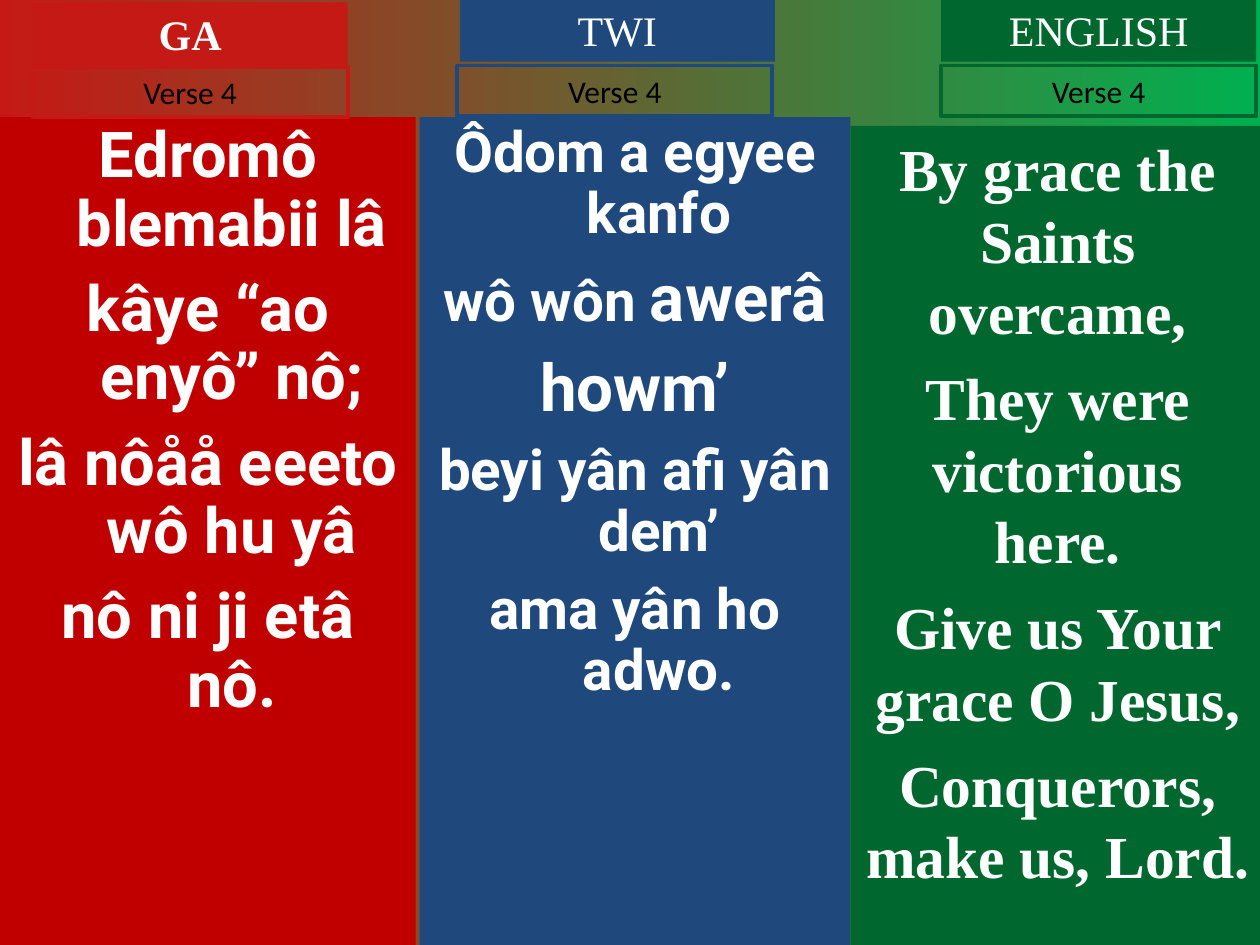
from pptx import Presentation
from pptx.dml.color import RGBColor
from pptx.enum.text import MSO_ANCHOR, MSO_AUTO_SIZE, PP_ALIGN
from pptx.util import Inches, Pt

TOP = MSO_ANCHOR.TOP
GROW = MSO_AUTO_SIZE.SHAPE_TO_FIT_TEXT
CENTER = PP_ALIGN.CENTER

COLORS = {
    "red": "C00000",
    "scarlet": "C51915",
    "blue": "1F497D",
    "green": "00682F",
    "lime": "00B050",
    "white": "FFFFFF",
    "black": "000000",
}
SERIF = "Times New Roman"
HANG = 0.38

GA = [
    [("Edromô blemabii lâ", 36.1)],
    [("kâye “ao enyô” nô;", 36.1)],
    [("lâ nôåå eeeto wô hu yâ", 36.1)],
    [("nô ni ji etâ nô.", 36.1)],
]
TWI = [
    [("Ôdom a egyee kanfo", 32.3)],
    [("wô wôn ", 32.3), ("awerâ", 37.4)],
    [("howm’", 37.4)],
    [("beyi yân afi yân dem’", 32.3)],
    [("ama yân ho adwo.", 32.3)],
]
ENGLISH = [
    [("By grace the Saints overcame,", 34)],
    [("They were victorious here.", 34)],
    [("Give us Your grace O Jesus,", 34)],
    [("Conquerors, make us, Lord.", 34)],
]


def rgb(name):
    return RGBColor.from_string(COLORS[name])


def add_box(slide, left, top, width, height):
    box = slide.shapes.add_textbox(
        Inches(left), Inches(top), Inches(width), Inches(height))
    frame = box.text_frame
    frame.word_wrap = True
    frame.vertical_anchor = TOP
    return box


def fill_box(box, color):
    box.fill.solid()
    box.fill.fore_color.rgb = rgb(color)


def style(run, size, face, color, bold=False):
    font = run.font
    font.size = Pt(size)
    font.name = face
    font.bold = bold
    font.color.rgb = rgb(color)


def add_label(slide, left, top, height, text, size, face, color, bold=False):
    box = add_box(slide, left, top, 2.5, height)
    frame = box.text_frame
    frame.auto_size = GROW
    frame.text = text
    para = frame.paragraphs[0]
    para.alignment = CENTER
    style(para.runs[0], size, face, color, bold)
    return box


def add_title(slide, left, top, text, color, bold=False):
    box = add_label(slide, left, top, 0.5, text, 24, SERIF, "white", bold)
    fill_box(box, color)


def add_verse(slide, left, top, color):
    box = add_label(slide, left, top, 0.4, "Verse 4", 18, "Calibri", "black")
    box.line.color.rgb = rgb(color)
    box.line.width = Pt(2.25)


def add_lyrics(slide, place, color, face, lines, gaps, hang=0, pitch=None):
    box = add_box(slide, *place)
    fill_box(box, color)
    frame = box.text_frame
    for i, (line, gap) in enumerate(zip(lines, gaps)):
        para = frame.add_paragraph() if i else frame.paragraphs[0]
        para.alignment = CENTER
        if i:
            para.space_before = Pt(gap)
        if pitch:
            para.line_spacing = pitch
        if hang:
            props = para._p.get_or_add_pPr()
            props.set("marL", str(Inches(hang)))
            props.set("indent", str(-Inches(hang)))
        for text, size in line:
            run = para.add_run()
            run.text = text
            style(run, size, face, "white", True)


def set_back(slide):
    fill = slide.background.fill
    fill.gradient()
    fill.gradient_angle = 0
    for stop, name in zip(fill.gradient_stops, ("scarlet", "lime")):
        stop.color.rgb = rgb(name)


def main():
    deck = Presentation()
    deck.slide_width = Inches(10)
    deck.slide_height = Inches(7.5)
    slide = deck.slides.add_slide(deck.slide_layouts[6])
    set_back(slide)

    add_lyrics(slide, (0, 0.93, 3.3, 6.57), "red", "Roboto", GA,
               [9.8] * 4, HANG, 0.9)
    add_lyrics(slide, (3.33, 0.93, 3.42, 6.57), "blue", "Roboto", TWI,
               [9.5, 11, 11, 9.5, 9.5], HANG, 0.9)
    add_lyrics(slide, (6.75, 1, 3.29, 6.5), "green", SERIF, ENGLISH,
               [8.5] * 4)

    add_title(slide, 0.26, 0.02, "GA", "scarlet", True)
    add_title(slide, 3.65, -0.01, "TWI", "blue")
    add_title(slide, 7.47, -0.01, "ENGLISH", "green")

    add_verse(slide, 0.26, 0.53, "scarlet")
    add_verse(slide, 3.63, 0.52, "blue")
    add_verse(slide, 7.47, 0.52, "green")

    deck.save("out.pptx")


if __name__ == "__main__":
    main()
